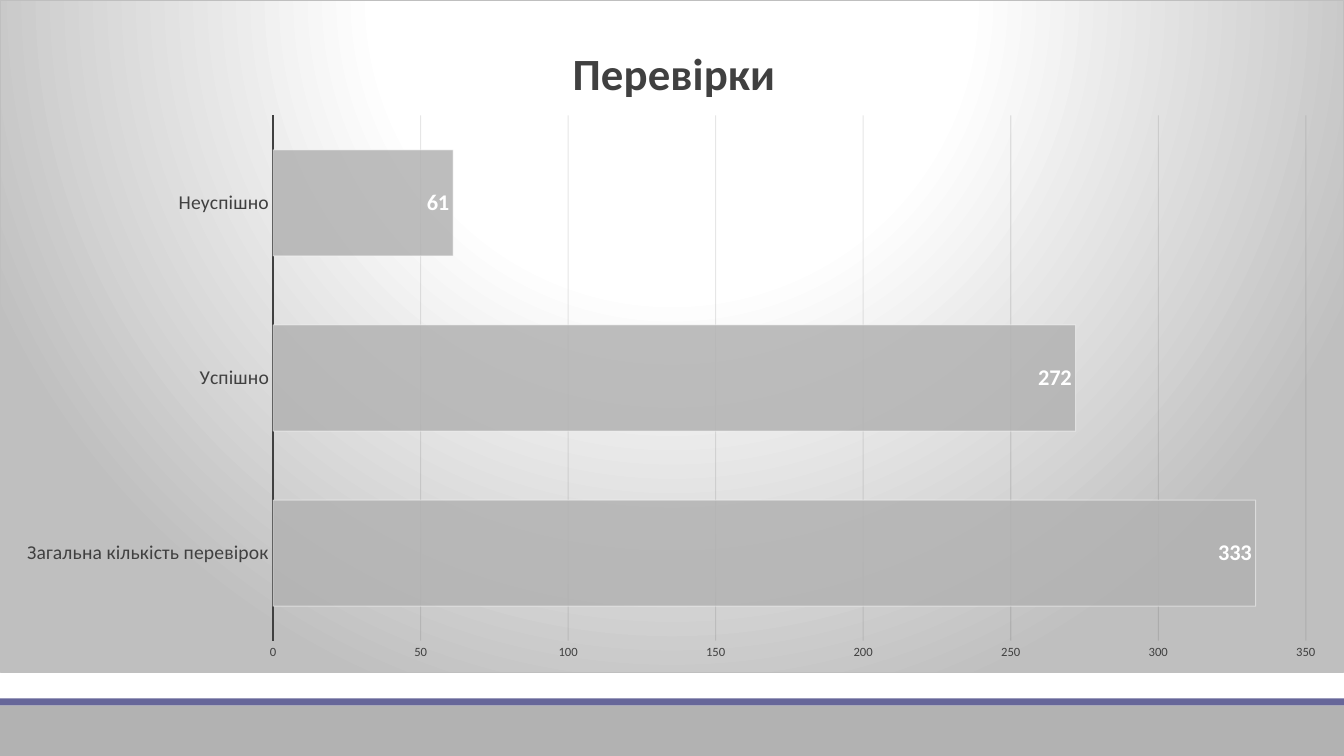
from dataclasses import dataclass

from lxml import etree
from pptx import Presentation
from pptx.chart.data import CategoryChartData
from pptx.dml.color import RGBColor
from pptx.enum.chart import XL_CHART_TYPE, XL_LABEL_POSITION, XL_TICK_MARK
from pptx.enum.shapes import MSO_SHAPE
from pptx.oxml import parse_xml
from pptx.oxml.ns import nsdecls, qn
from pptx.util import Inches, Pt

BAR = XL_CHART_TYPE.BAR_CLUSTERED
INSIDE_END = XL_LABEL_POSITION.INSIDE_END
NO_TICK = XL_TICK_MARK.NONE
RECTANGLE = MSO_SHAPE.RECTANGLE


@dataclass(frozen=True)
class Theme:
    font: str = "Calibri"
    ink: str = "404040"
    grid: str = "0D0D0D"
    grey: str = "B2B2B2"
    violet: str = "666699"
    white: str = "FFFFFF"
    edge: str = "BFBFBF"
    title_size: int = 32
    label_size: int = 16
    category_size: int = 14
    scale_size: int = 9
    thin: float = 0.75
    thick: float = 1.5


THEME = Theme()
CHECKS = {"Загальна кількість перевірок": 333, "Успішно": 272, "Неуспішно": 61}


def style_font(font, size, colour, bold=False):
    font.name = THEME.font
    font.size = Pt(size)
    font.bold = bold
    font.color.rgb = RGBColor.from_string(colour)


def style_line(line, colour, width):
    line.color.rgb = RGBColor.from_string(colour)
    line.width = Pt(width)


def set_opacity(properties, percent):
    colour = next(properties.iter(qn("a:srgbClr")))
    etree.SubElement(colour, qn("a:alpha"), val=str(percent * 1000))


def set_layout(parent, previous, inner=False, **shares):
    for old in parent.findall(qn("c:layout")):
        parent.remove(old)
    layout = parse_xml(f"<c:layout {nsdecls('c')}><c:manualLayout/></c:layout>")
    settings = {"layoutTarget": "inner"} if inner else {}
    settings |= {"xMode": "edge", "yMode": "edge"} | shares
    for name, value in settings.items():
        etree.SubElement(layout[0], qn(f"c:{name}"), val=str(value))
    if previous is None:
        parent.insert(0, layout)
    else:
        previous.addnext(layout)


def fill_chart_area(chart):
    stops = [(0, THEME.white), (39, THEME.white), (100, THEME.edge)]
    gradient = "".join(
        f'<a:gs pos="{share * 1000}"><a:srgbClr val="{colour}"/></a:gs>'
        for share, colour in stops
    )
    area = parse_xml(
        f"<c:spPr {nsdecls('c', 'a')}>"
        f'<a:gradFill><a:gsLst>{gradient}</a:gsLst><a:path path="circle">'
        '<a:fillToRect l="50000" t="-80000" r="50000" b="180000"/>'
        f'</a:path></a:gradFill><a:ln w="{Pt(THEME.thin)}"><a:solidFill>'
        f'<a:srgbClr val="{THEME.edge}"/></a:solidFill></a:ln></c:spPr>'
    )
    chart.element.find(qn("c:chart")).addnext(area)


def style_title(chart):
    title = chart.chart_title
    para = title.text_frame.paragraphs[0]
    span = para.add_run()
    span.text = "Перевірки"
    style_font(span.font, THEME.title_size, THEME.ink, bold=True)
    element = title._element
    set_layout(element, element.find(qn("c:tx")), x=0.42, y=0.05)
    title.include_in_layout = False


def style_axes(chart):
    categories, scale = chart.category_axis, chart.value_axis
    for axis, size in (
        (categories, THEME.category_size),
        (scale, THEME.scale_size),
    ):
        axis.major_tick_mark = axis.minor_tick_mark = NO_TICK
        style_font(axis.tick_labels.font, size, THEME.ink)
    style_line(categories.format.line, THEME.ink, THEME.thick)
    categories.has_major_gridlines = False
    scale.minimum_scale, scale.maximum_scale, scale.major_unit = 0, 350, 50
    scale.format.line.fill.background()
    grid = scale.major_gridlines
    style_line(grid.format.line, THEME.grid, THEME.thin)
    set_opacity(grid._xAx.find(qn("c:majorGridlines")), 10)


def style_bars(plot):
    plot.gap_width = 65
    plot.vary_by_categories = False
    series = plot.series[0]
    series.invert_if_negative = False
    series.format.fill.solid()
    series.format.fill.fore_color.rgb = RGBColor.from_string(THEME.grey)
    properties = series._element.find(qn("c:spPr"))
    set_opacity(properties, 85)
    style_line(series.format.line, THEME.white, THEME.thin)
    set_opacity(properties.find(qn("a:ln")), 50)
    labels = series.data_labels
    labels.show_value = True
    labels.position = INSIDE_END
    style_font(labels.font, THEME.label_size, THEME.white, bold=True)


def add_checks_chart(page, box):
    data = CategoryChartData()
    data.categories = list(CHECKS)
    data.add_series("Series 1", list(CHECKS.values()))
    chart = page.shapes.add_chart(BAR, *box, data).chart
    chart.font.name = THEME.font
    chart.font.size = Pt(10)
    chart.has_legend = False
    style_title(chart)
    style_axes(chart)
    style_bars(chart.plots[0])
    plot_area = chart.element.find(qn("c:chart")).find(qn("c:plotArea"))
    set_layout(plot_area, None, inner=True, x=0.203, y=0.171, w=0.769, h=0.782)
    fill_chart_area(chart)


def add_footer(page, box):
    left, top, width, height = box
    stripe = int(height * 0.12)
    bands = [
        (top + stripe, height - stripe, THEME.grey),
        (top, stripe, THEME.violet),
    ]
    for band_top, band_height, colour in bands:
        band = page.shapes.add_shape(RECTANGLE, left, band_top, width, band_height)
        band.shadow.inherit = False
        band.fill.solid()
        band.fill.fore_color.rgb = RGBColor.from_string(colour)
        band.line.fill.background()


def main():
    deck = Presentation()
    deck.slide_width, deck.slide_height = Inches(13.33), Inches(7.5)
    width, height = deck.slide_width, deck.slide_height
    page = deck.slides.add_slide(deck.slide_layouts[6])
    footer_top = int(height * 0.924)
    add_footer(page, (0, footer_top, width, height - footer_top))
    add_checks_chart(page, (0, 0, width, int(height * 0.89)))
    deck.save("out.pptx")


main()
